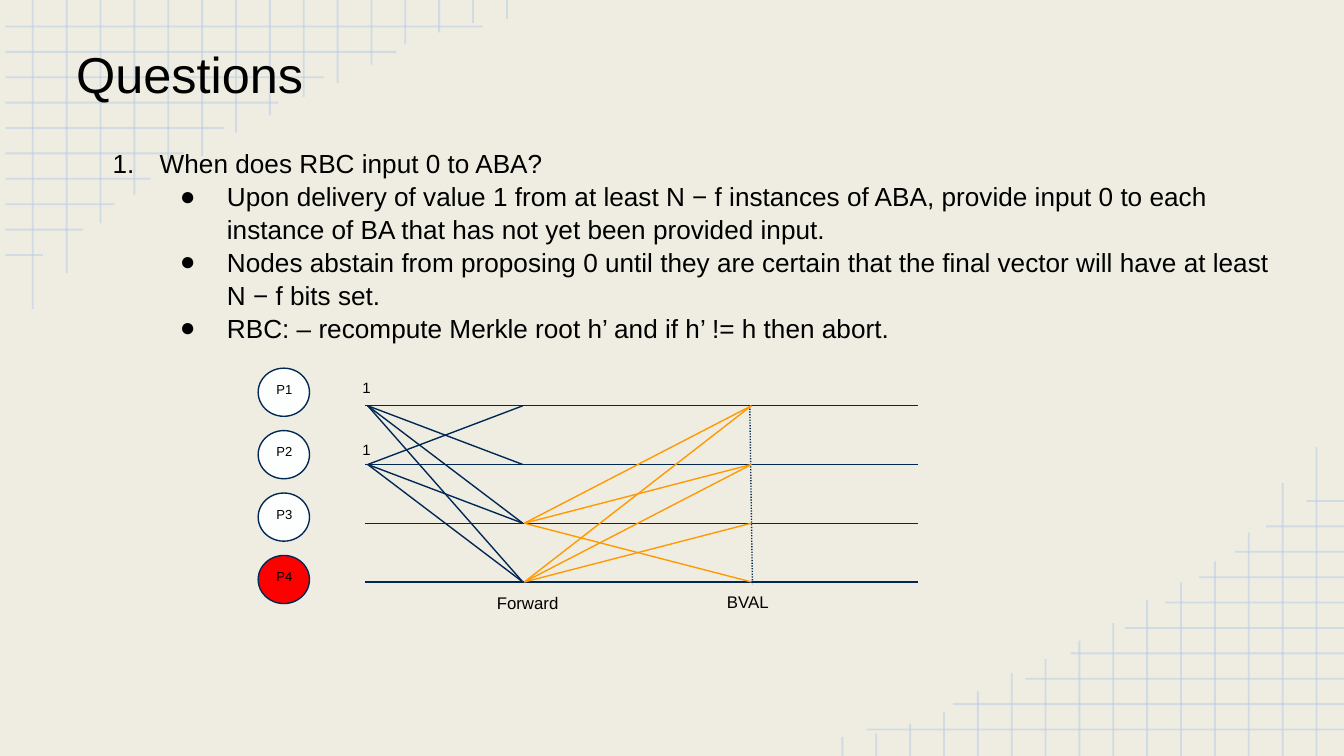
from lxml import etree
from pptx import Presentation
from pptx.dml.color import RGBColor as Rgb
from pptx.enum.dml import MSO_LINE as Dash
from pptx.enum.shapes import MSO_CONNECTOR as Link, MSO_SHAPE as Kind
from pptx.enum.text import MSO_ANCHOR as Anchor, PP_ALIGN as Align
from pptx.oxml.ns import qn
from pptx.util import Cm, Pt

WIDE, HIGH = 25.4, 14.29
COLORS = {"paper": "EFEDE2", "grid": "B7CCE4", "ink": "000000", "navy": "002855",
          "white": "FDFFFF", "red": "FF0000", "orange": "FF9900"}

# Lengths of the corner grid lines, from the edge inwards
ROWS = [9.12, 7.49, 6.12, 5.26, 4.24, 3.48, 2.84, 2.16, 1.57, 0.81]
COLS = [5.84, 5.16, 4.22, 3.68, 3.28, 2.95, 2.51, 2.18,
        1.83, 1.57, 1.22, 0.84, 0.61, 0.43, 0.36]

POINTS = [
    ("When does RBC input 0 to ABA?", 1.27, "buAutoNum", {"type": "arabicPeriod"}),
    ("Upon delivery of value 1 from at least N − f instances of ABA, provide input 0 "
     "to each instance of BA that has not yet been provided input.",
     2.54, "buChar", {"char": "●"}),
    ("Nodes abstain from proposing 0 until they are certain that the final vector "
     "will have at least N − f bits set.", 2.54, "buChar", {"char": "●"}),
    ("RBC: – recompute Merkle root h’ and if h’ != h then abort.",
     2.54, "buChar", {"char": "●"}),
]


class Deck:
    font = "Arial"
    pad = 0.25

    def __init__(self):
        self.pres = Presentation()
        self.pres.slide_width, self.pres.slide_height = Cm(WIDE), Cm(HIGH)
        self.slide = self.pres.slides.add_slide(self.pres.slide_layouts[6])
        fill = self.slide.background.fill
        fill.solid()
        fill.fore_color.rgb = self.color("paper")

    def color(self, name):
        return Rgb.from_string(COLORS[name])

    def line(self, start, end, color="navy", width=0.75, dash=None, alpha=None):
        """Draw a straight line; alpha is the opacity in percent."""
        link = self.slide.shapes.add_connector(
            Link.STRAIGHT, *[Cm(v) for v in (*start, *end)])
        link.line.width = Pt(width)
        link.line.color.rgb = self.color(color)
        if dash:
            link.line.dash_style = dash
        props = link._element.spPr
        if alpha:
            tint = props.find(".//" + qn("a:srgbClr"))
            etree.SubElement(tint, qn("a:alpha"), val=str(alpha * 1000))
        etree.SubElement(props, qn("a:effectLst"))

    def oval(self, left, top, wide, high, color):
        oval = self.slide.shapes.add_shape(
            Kind.OVAL, Cm(left), Cm(top), Cm(wide), Cm(high))
        oval.shadow.inherit = False
        oval.fill.solid()
        oval.fill.fore_color.rgb = self.color(color)
        oval.line.color.rgb = self.color("navy")
        oval.line.width = Pt(0.75)

    def frame(self, left, top, wide, high, anchor=Anchor.TOP):
        box = self.slide.shapes.add_textbox(Cm(left), Cm(top), Cm(wide), Cm(high))
        frame = box.text_frame
        frame.word_wrap = True
        frame.vertical_anchor = anchor
        frame.margin_left = frame.margin_right = Cm(self.pad)
        frame.margin_top = frame.margin_bottom = Cm(self.pad)
        return frame

    def add_text(self, para, text, size):
        run = para.add_run()
        run.text = text
        run.font.name, run.font.size = self.font, Pt(size)
        run.font.color.rgb = self.color("ink")

    def label(self, text, place, size, align=Align.LEFT, anchor=Anchor.TOP):
        para = self.frame(*place, anchor).paragraphs[0]
        para.alignment = align
        self.add_text(para, text, size)

    def bullets(self, points, place, size):
        frame = self.frame(*place)
        for i, (text, indent, tag, mark) in enumerate(points):
            para = frame.add_paragraph() if i else frame.paragraphs[0]
            para.line_spacing = 1.05
            props = para._p.get_or_add_pPr()
            props.set("marL", str(Cm(indent)))
            props.set("indent", str(Cm(-0.89)))
            tint = etree.SubElement(props, qn("a:buClr"))
            etree.SubElement(tint, qn("a:srgbClr"), val=COLORS["ink"])
            etree.SubElement(props, qn("a:buFont"), typeface=self.font)
            etree.SubElement(props, qn("a:" + tag), **mark)
            self.add_text(para, text, size)

    def grid(self, turn):
        """Draw the corner grid, with each point passed through turn."""
        lines = [((0.1, 0.5 + 0.48 * i), (end, 0.5 + 0.48 * i))
                 for i, end in enumerate(ROWS)]
        lines += [((0.62 + 0.64 * i, end), (0.62 + 0.64 * i, 0))
                  for i, end in enumerate(COLS)]
        for start, end in lines:
            self.line(turn(*start), turn(*end), "grid", 1, alpha=53)

    def votes(self, left, right, senders, color):
        """Link each sender's lane to every other lane."""
        for a in senders:
            for b in range(4):
                if a != b:
                    self.line((left, lane(a)), (right, lane(b)), color)


def lane(i):
    return 7.67 + 1.11 * i


def main():
    deck = Deck()
    deck.grid(lambda x, y: (x, y))
    deck.grid(lambda x, y: (WIDE + 0.1 - x, HIGH - y))
    deck.label("Questions", (1.19, 0.53, 8.13, 1.68), 27, anchor=Anchor.BOTTOM)
    deck.bullets(POINTS, (1.5, 2.51, 22.81, 10.08), 14)

    for i in range(4):
        drop = 1.18 * i
        deck.oval(4.88, 6.96 + drop, 0.97, 0.91, "red" if i == 3 else "white")
        deck.label(f"P{i + 1}", (4.93, 7.06 + drop, 0.89, 0.81), 7, Align.CENTER)
        deck.line((6.9, lane(i)), (17.35, lane(i)))
        if i < 2:
            deck.label("1", (6.6, 6.98 + drop, 0.71, 0.86), 8)

    deck.line((14.17, lane(0)), (14.22, 11.05), dash=Dash.ROUND_DOT)
    deck.votes(6.95, 9.88, (0, 1), "navy")
    deck.votes(9.91, 14.2, (2, 3), "orange")
    deck.label("Forward", (9.14, 11.02, 2.62, 0.89), 9)
    deck.label("BVAL", (13.49, 11, 2.69, 0.89), 9)
    deck.pres.save("out.pptx")


if __name__ == "__main__":
    main()
